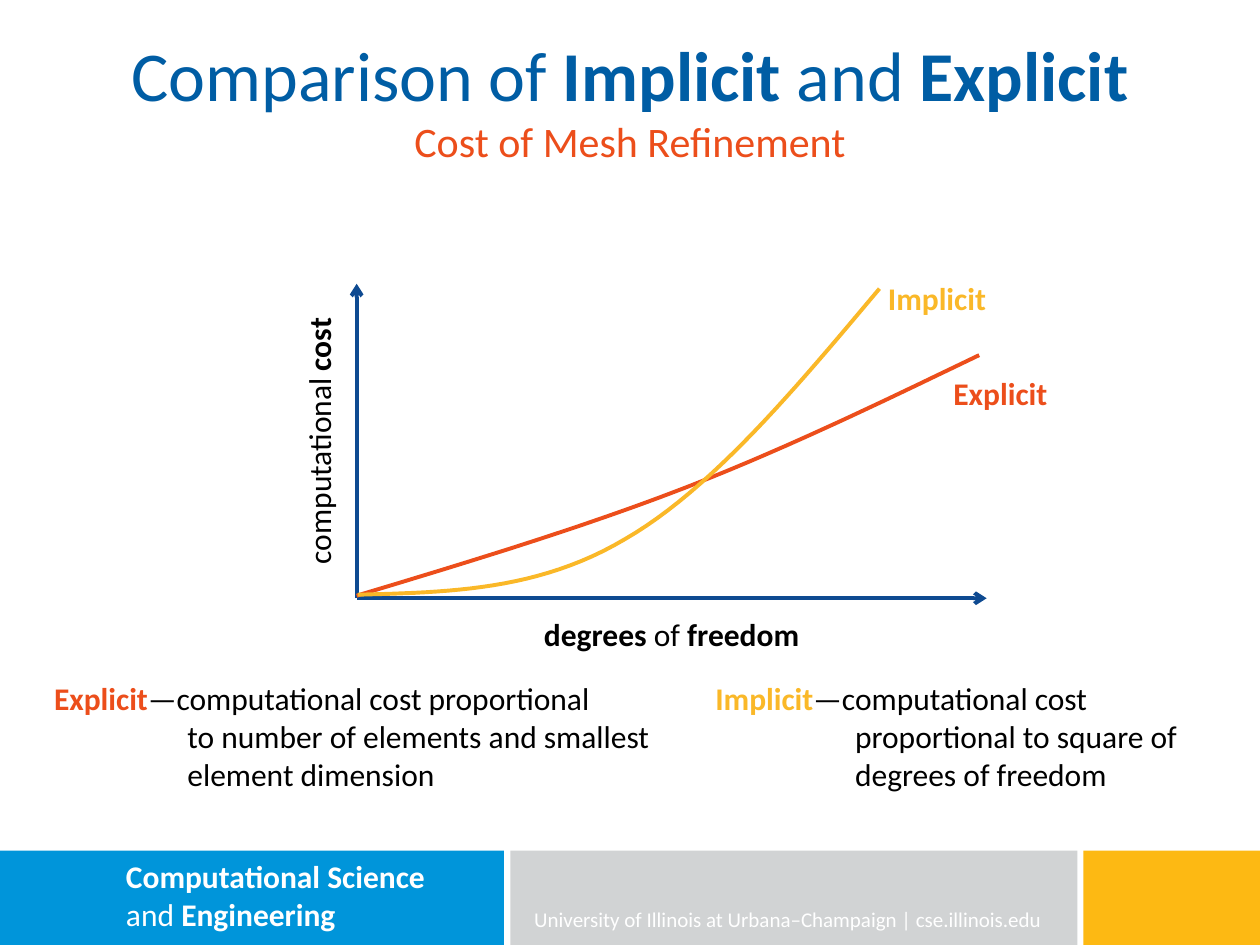
"""Builds a slide comparing the cost of implicit and explicit methods."""
from dataclasses import dataclass

from lxml import etree
from pptx import Presentation
from pptx.dml.color import RGBColor
from pptx.enum.shapes import MSO_CONNECTOR, MSO_SHAPE
from pptx.enum.text import MSO_ANCHOR, PP_ALIGN
from pptx.oxml.ns import qn
from pptx.util import Cm, Pt

STRAIGHT = MSO_CONNECTOR.STRAIGHT
RECTANGLE = MSO_SHAPE.RECTANGLE
TOP, MIDDLE = MSO_ANCHOR.TOP, MSO_ANCHOR.MIDDLE
LEFT, CENTER = PP_ALIGN.LEFT, PP_ALIGN.CENTER

FONT = "Calibri"
WHITE, BLACK = "FFFFFF", "000000"
TITLE_BLUE, AXIS_BLUE, BAND_BLUE = "005DA4", "0E4A91", "0095DA"
ORANGE, YELLOW, GOLD, GREY = "EC4E1B", "FAB828", "FDB913", "D1D3D4"
LINE_WIDTH = Pt(2.25)
CURVE_STEPS = 24


@dataclass(frozen=True)
class Span:
    text: str
    bold: bool = False
    color: str | None = None


@dataclass(frozen=True)
class Para:
    spans: tuple[Span, ...]
    color: str = BLACK
    size: int = 18
    indent: float = 0


@dataclass(frozen=True)
class TextBox:
    left: float
    top: float
    width: float
    height: float
    paras: tuple[Para, ...]
    align: PP_ALIGN = LEFT
    anchor: MSO_ANCHOR = TOP
    rotation: int = 0


@dataclass(frozen=True)
class Band:
    left: float
    width: float
    color: str


@dataclass(frozen=True)
class Curve:
    color: str
    points: tuple[tuple[float, float], ...]


def description(name: str, color: str, indent: float, first: str, *rest: str) -> tuple[Para, ...]:
    heading = Para((Span(name, True, color), Span("—" + first)))
    return (heading, *(Para((Span(line),), indent=indent) for line in rest))


BANDS = (Band(21.84, 3.56, GOLD), Band(0, 10.16, BAND_BLUE), Band(10.29, 11.43, GREY))
ORIGIN = (7.19, 12.06)
AXIS_ENDS = ((19.89, 12.06), (7.19, 5.72))
CURVES = (
    Curve(ORANGE, ((7.19, 12.01), (9.45, 11.33), (11.73, 10.64), (13.82, 9.83),
                   (15.9, 9.02), (17.83, 8.08), (19.74, 7.16))),
    Curve(YELLOW, ((7.21, 11.99), (9.04, 11.94), (10.85, 11.91), (12.6, 10.87),
                   (14.35, 9.86), (16.05, 7.82), (17.73, 5.82))),
)
FOOTER_TEXTS = (
    TextBox(2.29, 17.15, 7.01, 1.78, (
        Para((Span("Computational Science", True),), WHITE),
        Para((Span("and "), Span("Engineering", True)), WHITE))),
    TextBox(10.52, 18.16, 11.07, 0.89, (
        Para((Span("University of Illinois at Urbana–Champaign | cse.illinois.edu"),), WHITE, 12),)),
)
TITLE = TextBox(0, 0.51, 25.4, 1.96, (
    Para((Span("Comparison of "), Span("Implicit", True), Span(" and "),
          Span("Explicit", True)), TITLE_BLUE, 40),
    Para((Span("Cost of Mesh Refinement"),), ORANGE, 24)), CENTER)
GRAPH_TEXTS = (
    TextBox(3.25, 8.38, 6.35, 1.02, (
        Para((Span("computational"), Span(" cost", True))),), CENTER, rotation=270),
    TextBox(7.19, 12.27, 12.7, 1.02, (
        Para((Span("degrees ", True), Span("of"), Span(" freedom", True))),), CENTER),
    TextBox(0.84, 12.8, 12.7, 4.06, description(
        "Explicit", ORANGE, 2.69, "computational cost proportional",
        "to number of elements and smallest", "element dimension"), anchor=MIDDLE),
    TextBox(14.17, 13.56, 11.23, 2.54, description(
        "Implicit", YELLOW, 2.82, "computational cost",
        "proportional to square of", "degrees of freedom"), anchor=MIDDLE),
    TextBox(18.97, 7.42, 2.82, 1.02, (Para((Span("Explicit", True),), ORANGE),)),
    TextBox(17.65, 5.51, 2.95, 1.02, (Para((Span("Implicit", True),), YELLOW),)),
)


def rgb(value: str) -> RGBColor:
    return RGBColor.from_string(value)


def draw_text(page, item: TextBox) -> None:
    box = page.shapes.add_textbox(Cm(item.left), Cm(item.top), Cm(item.width), Cm(item.height))
    box.rotation = item.rotation
    frame = box.text_frame
    frame.word_wrap = True
    frame.vertical_anchor = item.anchor
    for index, source in enumerate(item.paras):
        para = frame.add_paragraph() if index else frame.paragraphs[0]
        para.alignment = item.align
        if source.indent:
            para._p.get_or_add_pPr().set("marL", str(Cm(source.indent)))
        para.font.name = FONT
        para.font.size = Pt(source.size)
        para.font.color.rgb = rgb(source.color)
        for part in source.spans:
            span = para.add_run()
            span.text = part.text
            if part.bold:
                span.font.bold = True
            if part.color:
                span.font.color.rgb = rgb(part.color)


def draw_band(page, band: Band) -> None:
    shape = page.shapes.add_shape(RECTANGLE, Cm(band.left), Cm(17.15), Cm(band.width), Cm(1.9))
    shape.shadow.inherit = False
    shape.fill.solid()
    shape.fill.fore_color.rgb = rgb(band.color)
    shape.line.fill.background()


def draw_axis(page, end: tuple[float, float]) -> None:
    axis = page.shapes.add_connector(STRAIGHT, *map(Cm, ORIGIN), *map(Cm, end))
    axis.line.width = LINE_WIDTH
    axis.line.color.rgb = rgb(AXIS_BLUE)
    etree.SubElement(axis.line._get_or_add_ln(), qn("a:tailEnd"), type="arrow")
    etree.SubElement(axis._element.spPr, qn("a:effectLst"))


def bezier_point(controls, t: float) -> tuple[int, int]:
    weights = ((1 - t) ** 3, 3 * t * (1 - t) ** 2, 3 * t * t * (1 - t), t ** 3)
    return tuple(Cm(sum(w * value for w, value in zip(weights, axis))) for axis in zip(*controls))


def draw_curve(page, curve: Curve) -> None:
    points = [
        bezier_point(curve.points[start:start + 4], step / CURVE_STEPS)
        for start in range(0, len(curve.points) - 1, 3)
        for step in range(1, CURVE_STEPS + 1)
    ]
    builder = page.shapes.build_freeform(*map(Cm, curve.points[0]))
    builder.add_line_segments(points, close=False)
    shape = builder.convert_to_shape()
    shape.shadow.inherit = False
    shape.fill.background()
    shape.line.width = LINE_WIDTH
    shape.line.color.rgb = rgb(curve.color)


def main() -> None:
    deck = Presentation()
    deck.slide_width, deck.slide_height = Cm(25.4), Cm(19.05)
    page = deck.slides.add_slide(deck.slide_layouts[6])
    for band in BANDS:
        draw_band(page, band)
    for item in (*FOOTER_TEXTS, TITLE):
        draw_text(page, item)
    for end in AXIS_ENDS:
        draw_axis(page, end)
    for curve in CURVES:
        draw_curve(page, curve)
    for item in GRAPH_TEXTS:
        draw_text(page, item)
    deck.save("out.pptx")


if __name__ == "__main__":
    main()
